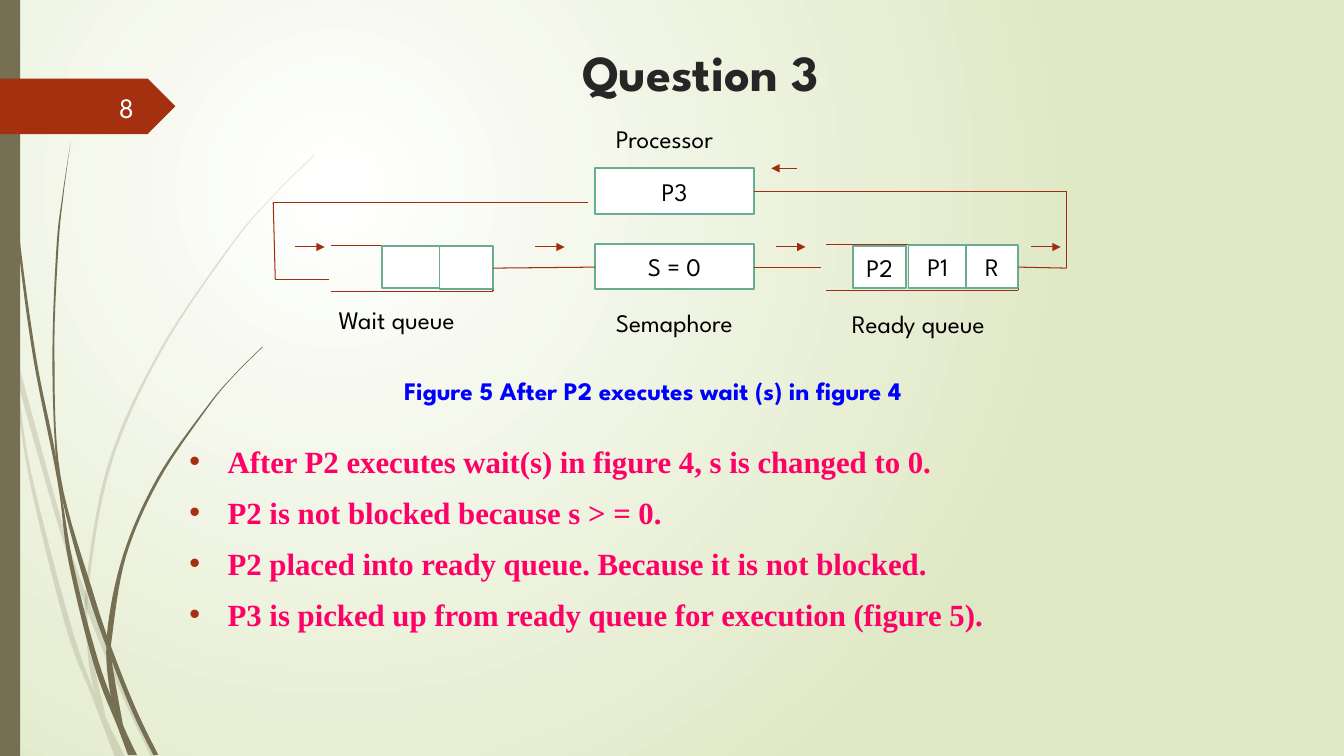
from itertools import pairwise

from lxml.etree import SubElement
from pptx import Presentation
from pptx.dml.color import RGBColor
from pptx.enum.shapes import MSO_CONNECTOR as Link, MSO_SHAPE as Kind
from pptx.enum.text import MSO_ANCHOR as Anchor, PP_ALIGN as Align
from pptx.oxml.ns import qn
from pptx.util import Inches, Pt

WHITE = RGBColor(0xFF, 0xFF, 0xFF)
BLACK = RGBColor(0, 0, 0)
GREEN = RGBColor(0xDF, 0xE8, 0xC4)
OLIVE = RGBColor(0x76, 0x6F, 0x54)
RUST = RGBColor(0xA5, 0x30, 0x10)
WIRE = RGBColor(0x9E, 0x2E, 0x0F)
TEAL = RGBColor(0x6A, 0xAC, 0x91)
DARK = RGBColor(0x26, 0x26, 0x26)
BLUE = RGBColor(0, 0, 0xFF)
PINK = RGBColor(0xFF, 0, 0x66)
CREAM = RGBColor(0xFE, 0xFF, 0xFF)

# Each blade of grass: its two edges, both from tip to root
PALE = [
    ([(.14, 3.45), (.62, 5.2), (.88, 5.96), (1.27, 6.92), (1.55, 7.51)],
     [(.14, 3.45), (.17, 3.76), (.58, 5.22), (.88, 6.1), (1.23, 6.94), (1.5, 7.51)]),
    ([(0, 2.82), (.09, 3.22), (.17, 3.76), (.31, 4.69), (.7, 6.19), (.96, 6.92), (1.24, 7.51)],
     [(0, 2.99), (.11, 3.5), (.28, 4.7), (.65, 6.21), (.92, 6.93), (1.14, 7.51)]),
    ([(3.12, 1.53), (2.68, 1.97), (2.28, 2.44), (1.58, 3.48), (1.07, 4.61), (.85, 5.84),
      (.87, 6.46), (.93, 6.83), (1.05, 7.11)],
     [(3.12, 1.54), (2.68, 1.98), (2.29, 2.45), (1.6, 3.49), (1.1, 4.62), (.88, 5.84),
      (.91, 6.46), (1.05, 7.11)]),
]
DEEP = [
    ([(.03, 0), (.07, 1.1), (.17, 2.33), (.33, 3.55), (.57, 4.77), (.68, 5.57), (.93, 6.59),
      (1.17, 7.22), (1.27, 7.49)],
     [(.04, 0), (.08, 1.09), (.19, 2.32), (.36, 3.55), (.55, 4.5), (.72, 5.56), (.98, 6.57),
      (1.22, 7.19), (1.36, 7.49)]),
    ([(.7, 1.41), (.62, 1.93), (.56, 2.45), (.52, 3.49), (.55, 4.49), (.64, 5.05), (.88, 5.92),
      (1.11, 6.56), (1.32, 7.08), (1.52, 7.49)],
     [(.7, 1.41), (.63, 1.93), (.58, 2.45), (.54, 3.49), (.6, 4.72), (.93, 5.9), (1.13, 6.49),
      (1.36, 7.06), (1.57, 7.49)]),
    ([(2.6, 3.44), (2.31, 3.73), (2.04, 4.05), (1.56, 4.74), (1.22, 5.51), (1.06, 6.31),
      (1.1, 6.91), (1.22, 7.19)],
     [(2.61, 3.44), (2.31, 3.74), (2.05, 4.06), (1.58, 4.76), (1.25, 5.52), (1.11, 6.33),
      (1.11, 6.56), (1.22, 7.19)]),
]


def put(item, vals):
    """Set each attribute in vals on item."""
    for name, val in vals.items():
        setattr(item, name, val)


def smooth(dots, steps=8):
    """Return points on a smooth curve through dots."""
    ends = [dots[0], *dots, dots[-1]]
    out = [dots[0]]
    for a, b, c, d in zip(ends, ends[1:], ends[2:], ends[3:]):
        for n in range(1, steps + 1):
            t = n / steps
            out.append(tuple(
                q + t * (r - p) / 2 + t * t * (2 * p - 5 * q + 4 * r - s) / 2
                + t ** 3 * (3 * q - p - 3 * r + s) / 2
                for p, q, r, s in zip(a, b, c, d)))
    return out


class Deck:
    """Holds the style and the current slide."""

    face = "League Spartan"

    def __init__(self):
        """Start a deck with one blank slide."""
        self.show = Presentation()
        put(self.show, {"slide_width": Inches(13.33), "slide_height": Inches(7.5)})
        self.page = self.show.slides.add_slide(self.show.slide_layouts[6])
        self.items = self.page.shapes

    def glow(self, inner, outer):
        """Fill the background with a round gradient."""
        fill = self.page.background.fill
        fill.gradient()
        for stop, hue in zip(fill.gradient_stops, (inner, outer)):
            stop.color.rgb = hue
        grad = self.page.element.find(".//" + qn("a:gradFill"))
        grad.remove(grad.find(qn("a:lin")))
        ring = SubElement(grad, qn("a:path"), {"path": "circle"})
        SubElement(ring, qn("a:fillToRect"), l="50000", t="50000", r="100000", b="100000")

    def paint(self, item, fill, edge=None):
        """Give a shape a flat fill and an optional outline."""
        item.shadow.inherit = False
        item.fill.solid()
        item.fill.fore_color.rgb = fill
        if edge:
            item.line.color.rgb = edge
            item.line.width = Pt(1.25)
        else:
            item.line.fill.background()

    def label(self, item, lines, size=18, hue=BLACK, bold=False, face=None,
              frame=None, para=None):
        """Set lines as paragraphs in a shape."""
        text = item.text_frame
        put(text, frame or {})
        text.text = "\n".join(lines)
        for row in text.paragraphs:
            put(row, para or {})
            for run in row.runs:
                put(run.font, {"size": Pt(size), "bold": bold, "name": face or self.face})
                run.font.color.rgb = hue

    def box(self, at, fill, edge=None, word="", kind=Kind.RECTANGLE):
        """Add a shape with an optional centred word."""
        item = self.items.add_shape(kind, *map(Inches, at))
        self.paint(item, fill, edge)
        if word:
            self.label(item, [word], frame={"vertical_anchor": Anchor.MIDDLE},
                       para={"alignment": Align.CENTER})

    def text(self, at, lines, wrap=False, **style):
        """Add a text box."""
        item = self.items.add_textbox(*map(Inches, at))
        item.text_frame.word_wrap = wrap
        self.label(item, lines, **style)
        return item

    def dots(self, item, hue):
        """Give each paragraph a hanging round bullet."""
        for row in item.text_frame.paragraphs:
            prop = row._p.get_or_add_pPr()
            prop.set("marL", str(Inches(.38)))
            prop.set("indent", str(-Inches(.38)))
            tint = SubElement(prop, qn("a:buClr"))
            SubElement(tint, qn("a:srgbClr"), val=str(hue))
            SubElement(prop, qn("a:buFont"), typeface="Arial")
            SubElement(prop, qn("a:buChar"), char="\u2022")

    def wire(self, *stops, head=False):
        """Join the stops with straight lines, with an arrowhead if asked."""
        for start, end in pairwise(stops):
            item = self.items.add_connector(Link.STRAIGHT, *map(Inches, start + end))
            item.line.color.rgb = WIRE
            item.line.width = Pt(.75)
            if head:
                SubElement(item.line._get_or_add_ln(), qn("a:tailEnd"), type="triangle")
            SubElement(item._element.spPr, qn("a:effectLst"))

    def blade(self, edges, alpha=None):
        """Add a blade of grass between two edges."""
        left, right = map(smooth, edges)
        ring = [(Inches(x), Inches(y)) for x, y in left + right[::-1]]
        form = self.items.build_freeform(*ring[0])
        form.add_line_segments(ring[1:])
        item = form.convert_to_shape()
        self.paint(item, OLIVE)
        if alpha:
            tint = item._element.spPr.find(".//" + qn("a:srgbClr"))
            SubElement(tint, qn("a:alpha"), val=str(alpha * 1000))


deck = Deck()
deck.glow(WHITE, GREEN)
for edges in PALE:
    deck.blade(edges, 20)
for edges in DEEP:
    deck.blade(edges)
deck.box((0, 0, .2, 7.5), OLIVE)
deck.box((0, .78, 1.74, .55), RUST, kind=Kind.PENTAGON)

deck.text((2.07, .36, 9.75, 1.4), ["Question 3"], True, size=36, hue=DARK, bold=True,
          para={"alignment": Align.CENTER})
deck.text((.58, .86, .85, .4), ["8"], True, size=20, hue=CREAM,
          frame={"vertical_anchor": Anchor.MIDDLE}, para={"alignment": Align.RIGHT})
notes = deck.text((1.78, 4.34, 10.97, 2.95), [
    "After P2 executes wait(s) in figure 4, s is changed to 0.",
    "P2 is not blocked because s > = 0.",
    "P2 placed into ready queue. Because it is not blocked.",
    "P3 is picked up from ready queue for execution (figure 5).",
], True, size=22, hue=PINK, bold=True, face="Times New Roman", para={"space_before": Pt(10)})
deck.dots(notes, RUST)

# Open-ended queue outlines
for left, right, top, low in ((3.28, 4.89, 2.44, 2.89), (8.19, 10.1, 2.43, 2.88)):
    deck.wire((left, top), (right, top), (right, low), (left, low))

# Processor, semaphore and queue slots
for left, top, wide, high, word in (
        (5.9, 1.67, 1.58, .45, "P3"), (5.9, 2.42, 1.58, .45, "S = 0"),
        (3.79, 2.44, .58, .42, ""), (4.36, 2.44, .53, .43, ""),
        (8.46, 2.44, .53, .42, "P2"), (9.01, 2.43, .58, .43, "P1"),
        (9.58, 2.43, .52, .43, "R")):
    deck.box((left, top, wide, high), WHITE, TEAL, word)

deck.wire((4.89, 2.66), (5.9, 2.65))
deck.wire((7.48, 2.65), (8.14, 2.65))
deck.wire((5.83, 2.01), (2.71, 2.01), (2.73, 2.77), (3.26, 2.77))
deck.wire((7.48, 1.9), (10.58, 1.9), (10.58, 2.66), (10.1, 2.65))
for left in (2.93, 5.31, 7.7, 10.23):
    deck.wire((left, 2.45), (left + .29, 2.45), head=True)
deck.wire((7.9, 1.67), (7.65, 1.67), head=True)

for left, top, wide, word in (
        (6.01, 1.17, 1.36, "Processor"), (6.01, 3, 1.63, "Semaphore"),
        (8.35, 3.01, 1.88, "Ready queue"), (3.26, 2.97, 1.63, "Wait queue")):
    deck.text((left, top, wide, .4), [word])
deck.text((3.91, 3.67, 5.55, .4), ["Figure 5 After P2 executes wait (s) in figure 4"],
          hue=BLUE, bold=True)
deck.show.save("out.pptx")
